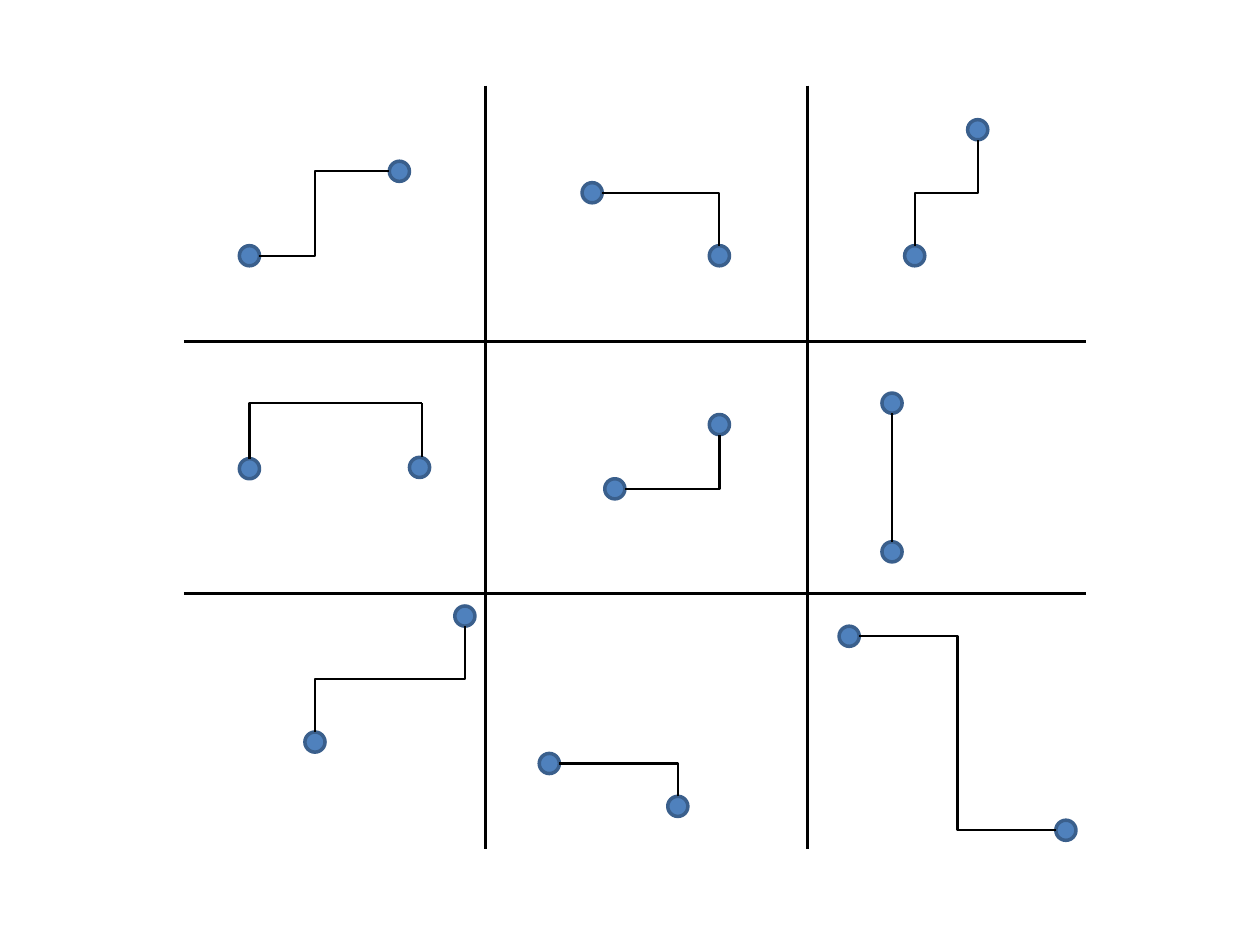
from lxml.etree import SubElement
from pptx import Presentation
from pptx.dml.color import RGBColor
from pptx.enum.shapes import MSO_CONNECTOR, MSO_SHAPE
from pptx.oxml.ns import qn
from pptx.util import Inches, Pt

# Content: dot centres by grid cell, in inches
DOTS = {
    "top left start": (1.98, 2.03), "top left end": (3.17, 1.36),
    "top middle start": (4.70, 1.53), "top middle end": (5.71, 2.03),
    "top right start": (7.26, 2.03), "top right end": (7.76, 1.03),
    "centre left start": (1.98, 3.72), "centre left end": (3.33, 3.71),
    "centre start": (4.88, 3.88), "centre end": (5.71, 3.37),
    "centre right start": (7.08, 4.38), "centre right end": (7.08, 3.20),
    "bottom left start": (3.69, 4.89), "bottom left end": (2.50, 5.89),
    "bottom middle start": (5.38, 6.40), "bottom middle end": (4.36, 6.06),
    "bottom right start": (8.46, 6.59), "bottom right end": (6.74, 5.05),
}
BRACKET_CORNER = (3.35, 3.20)

# Links: cell, side left, side reached, route, share of the way to the step
LINKS = [
    ("top left", "right", "left", "step", 0.43),
    ("top middle", "right", "top", "corner", None),
    ("top right", "top", "bottom", "step", 0.5),
    ("centre right", "top", "bottom", "straight", None),
    ("centre", "right", "bottom", "corner", None),
    ("bottom right", "left", "right", "step", 0.5),
    ("bottom left", "bottom", "top", "step", 0.5),
    ("bottom middle", "top", "right", "corner", None),
]

GRID = {"columns": (3.85, 6.41), "rows": (2.71, 4.71),
        "x_range": (1.46, 8.62), "y_range": (0.68, 6.74)}

THEME = {
    "dot": RGBColor(0x4F, 0x81, 0xBD), "dot_edge": RGBColor(0x3A, 0x5F, 0x8C),
    "line": RGBColor(0, 0, 0),
    "edge_width": Pt(2), "grid_width": Pt(1.75), "link_width": Pt(1.25),
}
DIAMETER = 0.16
SIDES = {"top": (0, -1), "left": (-1, 0), "bottom": (0, 1), "right": (1, 0)}
PRESETS = {"step": "bentConnector3", "corner": "bentConnector2"}


def anchor(dot, side):
    """Point in the middle of one side of a dot."""
    return tuple(centre + step * DIAMETER / 2
                 for centre, step in zip(DOTS[dot], SIDES[side]))


def add_line(page, start, end, width, kind=MSO_CONNECTOR.STRAIGHT):
    line = page.shapes.add_connector(kind, *map(Inches, (*start, *end)))
    line.line.color.rgb = THEME["line"]
    line.line.width = width
    SubElement(line._element.spPr, qn("a:effectLst"))
    return line


def add_elbow(page, start, end, route, vertical_first, share=None):
    """Bent connector; one that sets off vertically is a quarter turn."""
    if vertical_first:
        middle_x, middle_y = ((a + b) / 2 for a, b in zip(start, end))
        half_x, half_y = ((b - a) / 2 for a, b in zip(start, end))
        start = (middle_x - half_y, middle_y + half_x)
        end = (middle_x + half_y, middle_y - half_x)
    elbow = add_line(page, start, end, THEME["link_width"], MSO_CONNECTOR.ELBOW)
    properties = elbow._element.spPr
    if vertical_first:
        properties.find(qn("a:xfrm")).set("rot", str(90 * 60000))
    geometry = properties.find(qn("a:prstGeom"))
    geometry.set("prst", PRESETS[route])
    if share is not None:
        SubElement(geometry.find(qn("a:avLst")), qn("a:gd"),
                   name="adj1", fmla=f"val {round(share * 100000)}")


def add_dot(page, centre):
    left, top = (value - DIAMETER / 2 for value in centre)
    dot = page.shapes.add_shape(MSO_SHAPE.OVAL, *map(
        Inches, (left, top, DIAMETER, DIAMETER)))
    dot.shadow.inherit = False
    dot.fill.solid()
    dot.fill.fore_color.rgb = THEME["dot"]
    dot.line.color.rgb = THEME["dot_edge"]
    dot.line.width = THEME["edge_width"]


def main():
    deck = Presentation()
    deck.slide_width, deck.slide_height = Inches(10), Inches(7.5)
    page = deck.slides.add_slide(deck.slide_layouts[6])

    # Grid of nine cells
    top, bottom = GRID["y_range"]
    left, right = GRID["x_range"]
    for x in GRID["columns"]:
        add_line(page, (x, top), (x, bottom), THEME["grid_width"])
    for y in GRID["rows"]:
        add_line(page, (left, y), (right, y), THEME["grid_width"])

    # Dots
    for centre in DOTS.values():
        add_dot(page, centre)

    # Links between the two dots of a cell
    for cell, from_side, to_side, route, share in LINKS:
        start = anchor(f"{cell} start", from_side)
        end = anchor(f"{cell} end", to_side)
        if route == "straight":
            add_line(page, start, end, THEME["link_width"])
        else:
            add_elbow(page, start, end, route,
                      from_side in ("top", "bottom"), share)

    # Bracket in the centre left cell: a corner and a drop to the dot
    add_elbow(page, anchor("centre left start", "top"), BRACKET_CORNER,
              "corner", True)
    drop_end = (BRACKET_CORNER[0], anchor("centre left end", "top")[1])
    add_line(page, BRACKET_CORNER, drop_end, THEME["link_width"])

    deck.save("out.pptx")


if __name__ == "__main__":
    main()
